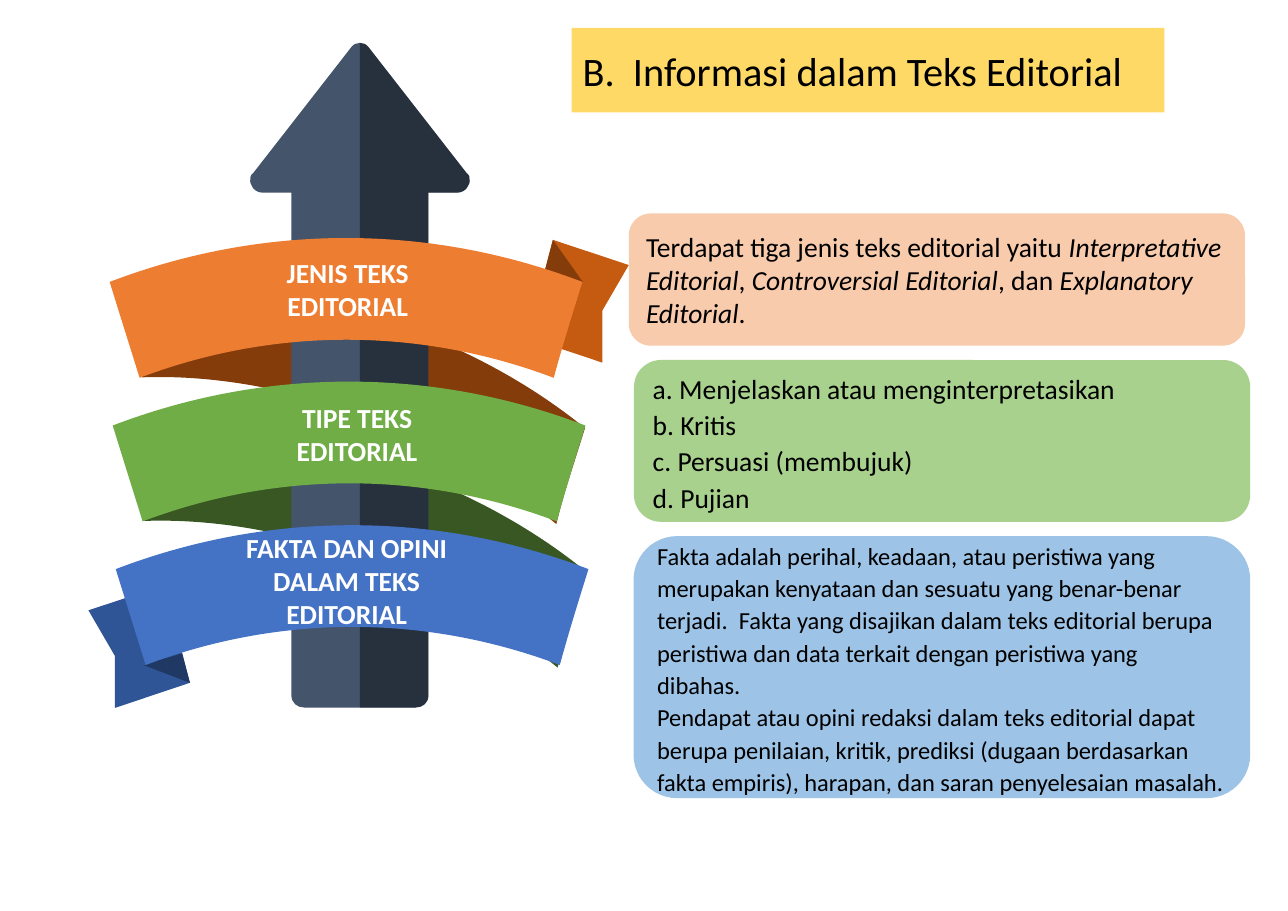
"""Build the slide on the information found in an editorial text."""
from dataclasses import dataclass

from lxml.etree import SubElement
from pptx import Presentation
from pptx.dml.color import RGBColor
from pptx.enum.shapes import MSO_SHAPE as Shp
from pptx.enum.text import MSO_ANCHOR as Anchor, MSO_AUTO_SIZE as Fit, PP_ALIGN as Align
from pptx.oxml.ns import qn
from pptx.util import Cm, Pt

Point = tuple[float, float]
Path = list[tuple[float, ...]]


@dataclass
class Ribbon:
    """A curved ribbon, its colours and the box of its label."""
    color: str
    fold: str | None
    label: str
    box: tuple[float, float, float, float]


@dataclass
class Panel:
    """A rounded panel; text between asterisks is italic."""
    box: tuple[float, float, float, float]
    color: str
    size: float
    spacing: float
    lines: list[str]


@dataclass
class Tail:
    """A ribbon end: outer corner, direction, colours and tucked corner."""
    x: float
    y: float
    side: int
    color: str
    tuck_color: str
    tuck: Path


FRAME = {"word_wrap": True, "auto_size": Fit.NONE, "vertical_anchor": Anchor.MIDDLE}
RIBBON_X, RIBBON_Y, RIBBON_DX = 2.53, 5.15, 0.07
FOLD_X, FOLD_Y, FOLD_DX = 2.59, 6.34, 0.03
STEP_Y = 3.31
AXIS = 8.3

BAND: Path = [(10.24, 3.56), (7.14, 2.39, 3.78, 2.39, 0.69, 3.56),
              (0.46, 2.82, 0.23, 2.09, 0, 1.35), (3.53, 0, 7.37, 0, 10.9, 1.35),
              (10.67, 2.09, 10.44, 2.82, 10.24, 3.56)]
FOLD: Path = [(10.24, 5.74), (7.59, 3.61, 3.94, 2.24, 0.69, 2.36),
              (0.38, 1.4, 0.25, 0.97, 0, 0.15), (3.71, 0, 7.9, 1.09, 10.9, 3.53),
              (10.64, 4.37, 10.41, 5.03, 10.24, 5.74)]
TAIL: Path = [(0, 0.58), (1.75, 0), (2.34, 2.25), (0.61, 2.83), (0.61, 1.63)]
ARROW_HALF: Path = [(0, 0.99), (0.08, 0.99, 0.15, 1.02, 0.2, 1.09), (2.46, 3.99),
                    (2.53, 4.04, 2.53, 4.09, 2.53, 4.17), (2.53, 4.19, 2.53, 4.24, 2.49, 4.29),
                    (2.46, 4.37, 2.36, 4.44, 2.26, 4.44), (1.58, 4.44), (1.58, 16.03),
                    (1.58, 16.2, 1.45, 16.31, 1.29, 16.31), (0, 16.31)]

RIBBONS = [
    Ribbon("ED7D31", "843C0B", "JENIS TEKS EDITORIAL", (5.43, 5.76, 5.18, 1.8)),
    Ribbon("70AD47", "385723", "TIPE TEKS EDITORIAL", (5.86, 9.1, 4.75, 1.8)),
    Ribbon("4472C4", None, "FAKTA DAN OPINI DALAM TEKS EDITORIAL", (4.96, 12.1, 6.07, 2.57)),
]
TAILS = [
    Tail(2.04, 13.49, 1, "2F5597", "203864",
         [(1.29, 1.85), (1.29, 1.85, 1.68, 1.7, 1.83, 1.67),
          (1.9, 1.65, 2.16, 1.57, 2.16, 1.57), (2.34, 2.25)]),
    Tail(14.5, 5.53, -1, "C55A11", "843C0B",
         [(1.06, 0.97), (1.06, 0.97, 1.47, 0.84, 1.6, 0.81),
          (1.68, 0.77, 1.93, 0.69, 1.93, 0.69), (1.75, 0)]),
]
PANELS = [
    Panel((14.5, 4.92, 14.21, 3.05), "F8CBAD", 18, 1.0, [
        "Terdapat tiga jenis teks editorial yaitu *Interpretative Editorial*, "
        "*Controversial Editorial*, dan *Explanatory Editorial*."]),
    Panel((14.61, 12.36, 14.22, 6.04), "9DC3E6", 16, 1.1, [
        "Fakta adalah perihal, keadaan, atau peristiwa yang merupakan kenyataan dan sesuatu "
        "yang benar-benar terjadi.  Fakta yang disajikan dalam teks editorial berupa peristiwa "
        "dan data terkait dengan peristiwa yang dibahas.",
        "Pendapat atau opini redaksi dalam teks editorial dapat berupa penilaian, kritik, "
        "prediksi (dugaan berdasarkan fakta empiris), harapan, dan saran penyelesaian masalah."]),
    Panel((14.62, 8.3, 14.21, 3.73), "A9D18E", 18, 1.1, [
        "a. Menjelaskan atau menginterpretasikan", "b. Kritis",
        "c. Persuasi (membujuk)", "d. Pujian"]),
]


def set_all(obj: object, values: dict) -> None:
    """Set each named attribute of the object."""
    for name, value in values.items():
        setattr(obj, name, value)


def paint(sp, color: str) -> None:
    """Give a shape a solid fill."""
    sp.fill.solid()
    sp.fill.fore_color.rgb = RGBColor.from_string(color)


def pairs(part: tuple[float, ...]) -> list[Point]:
    """Split the numbers of one path part into points."""
    return list(zip(part[::2], part[1::2]))


def mirrored(path: Path) -> Path:
    """Return the path back to its start, reflected across the axis."""
    result: Path = []
    for before, part in reversed(list(zip(path, path[1:]))):
        points = pairs(part)[-2::-1] + pairs(before)[-1:]
        result.append(tuple(v for x, y in points for v in (-x, y)))
    return result


def draw(shapes, path: Path, x: float, y: float, color: str, side: int = 1):
    """Draw a closed path of lines and cubic curves, mirrored when side is -1."""
    placed = [(Cm(x + side * px), Cm(y + py)) for part in path for px, py in pairs(part)]
    builder = shapes.build_freeform(*placed[0], scale=1.0)
    builder.add_line_segments(placed[1:], close=path[-1][-2:] != path[0])
    sp = builder.convert_to_shape()
    lines = iter(list(sp._element.iter(qn("a:lnTo"))))
    for part in path[1:]:
        knots = [next(lines) for _ in pairs(part)]
        if len(knots) == 3:
            knots[0].tag = qn("a:cubicBezTo")
            for knot in knots[1:]:
                knots[0].append(knot[0])
                knot.getparent().remove(knot)
    sp.shadow.inherit = False
    sp.line.fill.background()
    paint(sp, color)
    return sp


def write(tf, lines: list[str], size: float, color: str, align: Align,
          spacing: float = 1.0, bold: bool = False) -> None:
    """Write paragraphs with asterisks marking italic runs."""
    set_all(tf, FRAME)
    for n, line in enumerate(lines):
        p = tf.add_paragraph() if n else tf.paragraphs[0]
        set_all(p, {"alignment": align, "line_spacing": spacing})
        for i, text in enumerate(line.split("*")):
            r = p.add_run()
            r.text = text
            set_all(r.font, {"name": "Calibri", "size": Pt(size), "bold": bold,
                             "italic": i % 2 == 1})
            r.font.color.rgb = RGBColor.from_string(color)


def add_arrow(shapes) -> None:
    """Draw the upright arrow with its shaded right half."""
    draw(shapes, ARROW_HALF[:-1] + mirrored(ARROW_HALF), AXIS, 0, "44546A")
    shade = draw(shapes, ARROW_HALF, AXIS, 0, "000000")
    tone = shade._element.spPr.find(".//" + qn("a:srgbClr"))
    SubElement(tone, qn("a:alpha")).set("val", "42000")


def add_tail(shapes, tail: Tail) -> None:
    """Draw a ribbon end and its tucked corner."""
    for path, color in ((TAIL, tail.color), (tail.tuck, tail.tuck_color)):
        draw(shapes, path, tail.x, tail.y, color, tail.side)


def add_panel(shapes, panel: Panel) -> None:
    """Draw a rounded panel with its text."""
    sp = shapes.add_shape(Shp.ROUNDED_RECTANGLE, *map(Cm, panel.box))
    sp.shadow.inherit = False
    sp.line.fill.background()
    paint(sp, panel.color)
    write(sp.text_frame, panel.lines, panel.size, "000000", Align.LEFT, panel.spacing)


def main() -> None:
    """Build and save the slide."""
    prs = Presentation()
    set_all(prs, {"slide_width": Cm(29.7), "slide_height": Cm(21)})
    shapes = prs.slides.add_slide(prs.slide_layouts[5]).shapes
    title = shapes.title
    set_all(title, {"left": Cm(13.18), "top": Cm(0.64), "width": Cm(13.67), "height": Cm(1.95)})
    paint(title, "FFD966")
    write(title.text_frame, ["B.  Informasi dalam Teks Editorial"], 26.4, "000000", Align.LEFT)

    stack = list(enumerate(RIBBONS))[::-1]
    for i, ribbon in stack:
        if ribbon.fold:
            draw(shapes, FOLD, FOLD_X + i * FOLD_DX, FOLD_Y + i * STEP_Y, ribbon.fold)
    add_arrow(shapes)
    for tail in TAILS:
        add_tail(shapes, tail)
    for i, ribbon in stack:
        draw(shapes, BAND, RIBBON_X + i * RIBBON_DX, RIBBON_Y + i * STEP_Y, ribbon.color)
    for ribbon in reversed(RIBBONS):
        tf = shapes.add_textbox(*map(Cm, ribbon.box)).text_frame
        write(tf, [ribbon.label], 18, "FFFFFF", Align.CENTER, bold=True)
    for panel in PANELS:
        add_panel(shapes, panel)
    prs.save("out.pptx")


main()
